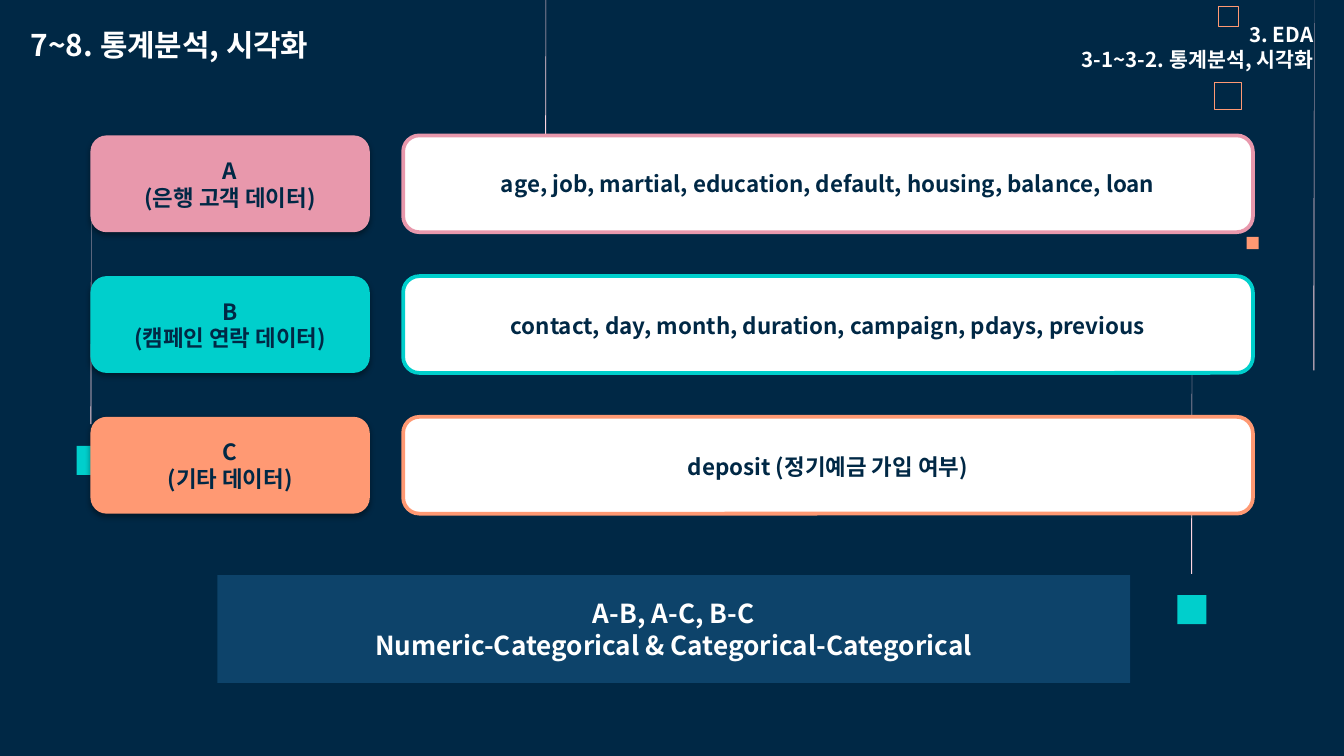
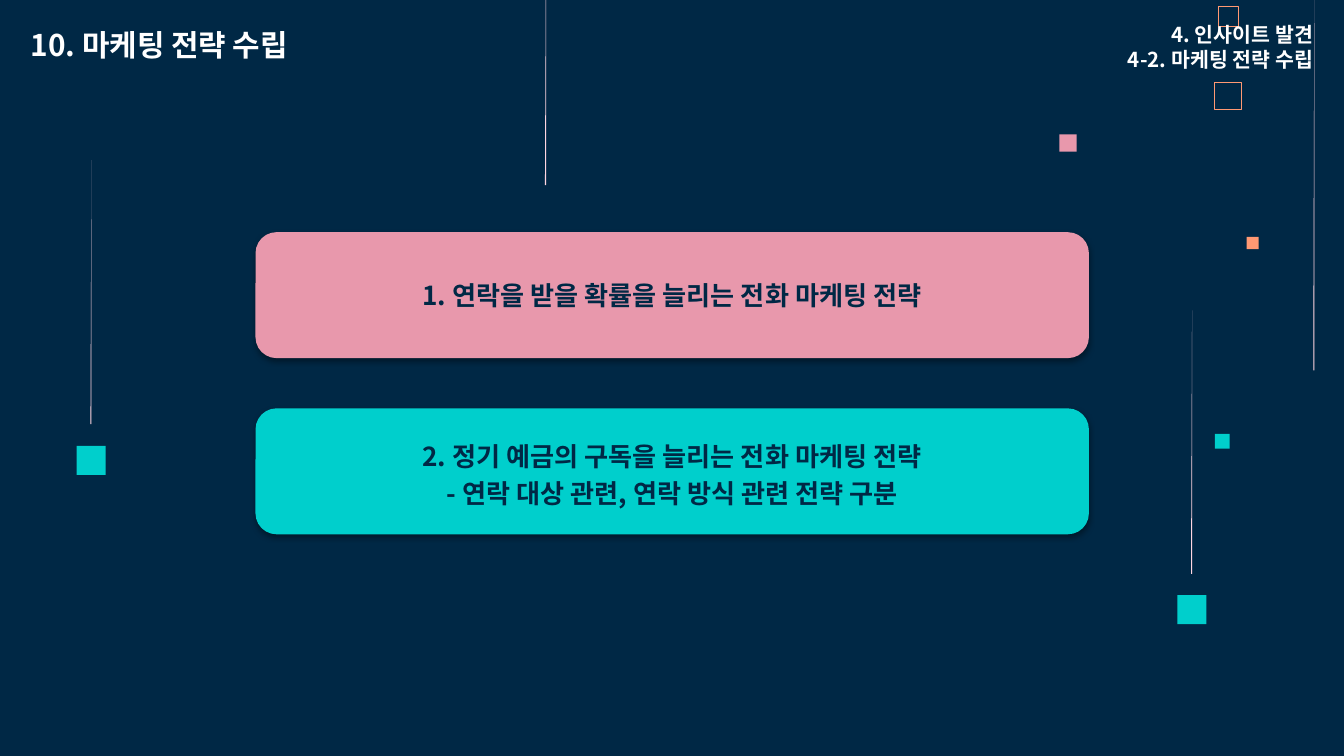
from lxml.etree import SubElement
from pptx import Presentation
from pptx.dml.color import RGBColor
from pptx.enum.shapes import MSO_SHAPE
from pptx.enum.text import MSO_ANCHOR, MSO_AUTO_SIZE, PP_ALIGN
from pptx.oxml.ns import qn
from pptx.util import Cm, Pt

NAVY = RGBColor(0x00, 0x28, 0x45)
BLUE = RGBColor(0x1A, 0x5E, 0x8F)
PINK = RGBColor(0xE8, 0x98, 0xAC)
TEAL = RGBColor(0x00, 0xCF, 0xCC)
ORANGE = RGBColor(0xFF, 0x99, 0x73)
BLUSH = RGBColor(0xFF, 0xD6, 0xE1)
WHITE = RGBColor(0xFF, 0xFF, 0xFF)
FONT = "Noto Sans CJK KR"

# Left, top, side (cm), then fill or outline
SOLID_SQUARES = [(23.56, 4.48, 0.23, ORANGE), (22.25, 11.25, 0.55, TEAL),
                 (1.45, 8.43, 0.55, TEAL)]
OPEN_SQUARES = [(22.95, 1.55, 0.52, 0.45), (23.03, 0.12, 0.38, 0.32)]
# Left, tip, foot (cm)
NEEDLES = [(10.3, -1.22, 3.5), (24.82, 0, 7), (22.51, 5.87, 10.85),
           (1.71, 3.03, 8.02)]


def set_all(obj, values):
    """Set the attributes of obj from a dict."""
    for name, value in values.items():
        setattr(obj, name, value)


class Deck:
    """The shared style and the slide being built."""

    def __init__(self):
        """Open a presentation with a navy master."""
        self.prs = Presentation()
        set_all(self.prs, {"slide_width": Cm(25.4), "slide_height": Cm(14.29)})
        fill = self.prs.slide_master.background.fill
        fill.solid()
        fill.fore_color.rgb = NAVY
        self.s = None

    def new_slide(self, title, title_width, section, squares=()):
        """Start a slide with its title, decoration and section label."""
        self.s = self.prs.slides.add_slide(self.prs.slide_layouts[5])
        sp = self.s.shapes.title
        set_all(sp, {"left": Cm(0.33), "top": Cm(0.37),
                     "width": Cm(title_width), "height": Cm(0.94)})
        self.label(sp, [title], 16, PP_ALIGN.LEFT)
        for square in [*SOLID_SQUARES, *squares]:
            self.square(*square)
        for left, top, side, weight in OPEN_SQUARES:
            self.square(left, top, side, None, ORANGE, weight)
        for needle in NEEDLES:
            self.needle(*needle)
        box = self.s.shapes.add_textbox(Cm(19.28), Cm(0.3), Cm(5.79), Cm(1.19))
        self.label(box, section, 11, PP_ALIGN.RIGHT)

    def label(self, sp, lines, size, align):
        """Put in white text that sizes its own frame."""
        self.add_lines(sp.text_frame, lines, size, WHITE, {"alignment": align})
        set_all(sp.text_frame, {"vertical_anchor": MSO_ANCHOR.TOP,
                                "auto_size": MSO_AUTO_SIZE.SHAPE_TO_FIT_TEXT})

    def add_lines(self, tf, lines, size, color, para):
        """Add one paragraph per line in the deck's font."""
        tf.word_wrap = True
        for i, line in enumerate(lines):
            p = tf.add_paragraph() if i else tf.paragraphs[0]
            set_all(p, para)
            r = p.add_run()
            r.text = line
            set_all(r.font, {"name": FONT, "size": Pt(size), "bold": True})
            r.font.color.rgb = color
            SubElement(r._r.get_or_add_rPr(), qn("a:ea"), typeface=FONT)

    def paint(self, sp, fill, line=None, weight=1):
        """Set fill and outline, where None means empty, and drop the shadow."""
        sp.shadow.inherit = False
        for part, color in ((sp.fill, fill), (sp.line.fill, line)):
            if color is None:
                part.background()
            else:
                part.solid()
                part.fore_color.rgb = color
        if line is not None:
            sp.line.width = Pt(weight)

    def square(self, left, top, side, fill, line=None, weight=1):
        """Add a decorative square."""
        sp = self.s.shapes.add_shape(MSO_SHAPE.RECTANGLE, Cm(left), Cm(top),
                                     Cm(side), Cm(side))
        self.paint(sp, fill, line, weight)

    def needle(self, left, tip, foot):
        """Add a hairline that tapers towards its tip."""
        right = Cm(left + 0.02)
        builder = self.s.shapes.build_freeform(right, Cm(tip))
        builder.add_line_segments([(Cm(left), Cm(foot)), (right, Cm(foot))])
        self.paint(builder.convert_to_shape(), BLUSH)

    def box(self, place, lines, size=12, fill=WHITE, line=None, color=NAVY,
            kind=MSO_SHAPE.ROUNDED_RECTANGLE, **para):
        """Add a box with centred text."""
        sp = self.s.shapes.add_shape(kind, *map(Cm, place))
        self.paint(sp, fill, line, 2)
        sp.text_frame.vertical_anchor = MSO_ANCHOR.MIDDLE
        self.add_lines(sp.text_frame, lines, size, color,
                       {"alignment": PP_ALIGN.CENTER, **para})
        return sp

    def card(self, place, lines, fill, size=12, **para):
        """Add a coloured box with a soft shadow below it."""
        sp = self.box(place, lines, size, fill, **para)
        effects = sp._element.spPr.find(qn("a:effectLst"))
        shadow = SubElement(effects, qn("a:outerShdw"), blurRad=str(Pt(3.1)),
                            dist=str(Pt(1.6)), dir="5400000", algn="t",
                            rotWithShape="0")
        black = SubElement(shadow, qn("a:srgbClr"), val="000000")
        SubElement(black, qn("a:alpha"), val="38000")

    def panel(self, place, lines):
        """Add a half-transparent blue panel."""
        sp = self.box(place, lines, 14, BLUE, color=WHITE,
                      kind=MSO_SHAPE.RECTANGLE)
        clr = sp._element.spPr.find(qn("a:solidFill")).find(qn("a:srgbClr"))
        SubElement(clr, qn("a:alpha"), val="50000")


def analysis_slide(deck):
    """Build the slide on the variable groups."""
    deck.new_slide("7~8. 통계분석, 시각화", 18.14,
                   ["3. EDA", "3-1~3-2. 통계분석, 시각화"])
    loose = {"line_spacing": 1.07, "space_after": Pt(8)}
    groups = [
        ("A", "(은행 고객 데이터)", PINK, {},
         "age, job, martial, education, default, housing, balance, loan"),
        ("B", "(캠페인 연락 데이터)", TEAL, loose,
         "contact, day, month, duration, campaign, pdays, previous"),
        ("C", "(기타 데이터)", ORANGE, loose, "deposit (정기예금 가입 여부)"),
    ]
    for i, (letter, name, color, para, columns) in enumerate(groups):
        top = 2.56 + 2.66 * i
        deck.card((1.71, top, 5.28, 1.83), [letter, name], color)
        deck.box((7.62, top, 16.06, 1.83), [columns], line=color, **para)
    deck.panel((4.11, 10.87, 17.25, 2.04),
               ["A-B, A-C, B-C", "Numeric-Categorical & Categorical-Categorical"])


def strategy_slide(deck):
    """Build the slide on the marketing strategies."""
    deck.new_slide("10. 마케팅 전략 수립", 7.95,
                   ["4. 인사이트 발견", "4-2. 마케팅 전략 수립"],
                   [(20.02, 2.54, 0.33, PINK), (22.96, 8.2, 0.28, TEAL)])
    strategies = [
        (PINK, {}, ["1. 연락을 받을 확률을 늘리는 전화 마케팅 전략"]),
        (TEAL, {"line_spacing": 1.2},
         ["2. 정기 예금의 구독을 늘리는 전화 마케팅 전략",
          "- 연락 대상 관련, 연락 방식 관련 전략 구분"]),
    ]
    for i, (color, para, lines) in enumerate(strategies):
        deck.card((4.83, 4.39 + 3.33 * i, 15.75, 2.38), lines, color, 14, **para)


def main():
    """Build and save the deck."""
    deck = Deck()
    analysis_slide(deck)
    strategy_slide(deck)
    deck.prs.save("out.pptx")


main()
